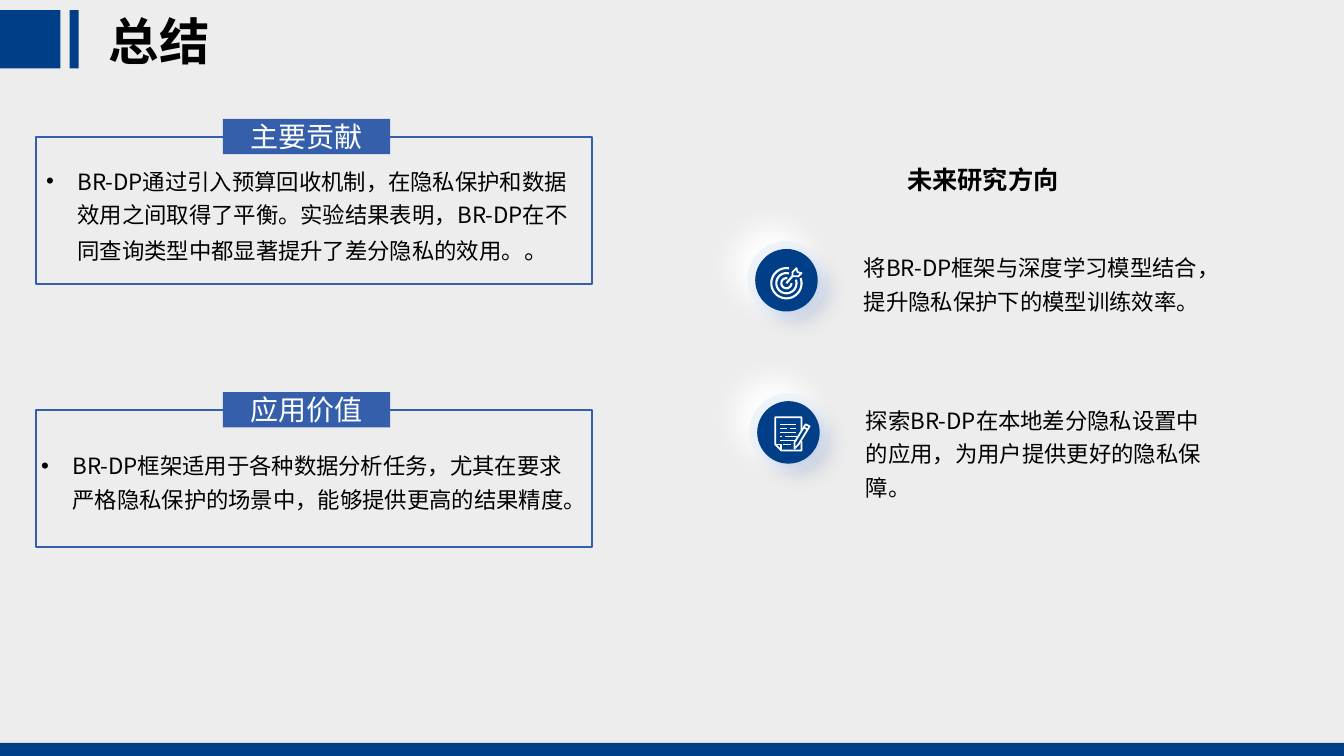
import math
from lxml import etree
from pptx import Presentation
from pptx import util as u
from pptx.dml.color import RGBColor
from pptx.enum import shapes, text
from pptx.oxml import ns

FONT = "Noto Sans CJK SC"
NAVY, BLUE, WHITE, BLACK = "003F88", "355FAB", "FFFFFF", "000000"


def colour(code):
    """Turn a hex string into a colour."""
    return RGBColor.from_string(code)


def add_child(parent, tag, **attributes):
    """Append a DrawingML element."""
    values = {key: str(value) for key, value in attributes.items()}
    return etree.SubElement(parent, ns.qn(f"a:{tag}"), values)


def style_text(shape, words, size, code, bold=False, spacing=None, align=None):
    """Write one paragraph into a shape and format it."""
    para = shape.text_frame.paragraphs[0]
    para.text = words
    para.line_spacing = spacing
    para.alignment = align
    span = para.runs[0]
    span.font.size = u.Pt(size)
    span.font.bold = bold
    span.font.name = FONT
    span.font.color.rgb = colour(code)
    add_child(span._r.get_or_add_rPr(), "ea", typeface=FONT)
    return para


def add_text(page, box, words, size, wrap=True, **style):
    """Add a text box with one paragraph."""
    shape = page.shapes.add_textbox(*map(u.Inches, box))
    shape.text_frame.word_wrap = wrap
    style_text(shape, words, size, BLACK, **style)
    return shape


def add_block(page, kind, box, fill=None, line=None):
    """Add a plain preset shape."""
    shape = page.shapes.add_shape(kind, *map(u.Inches, box))
    shape.shadow.inherit = False
    if fill:
        shape.fill.solid()
        shape.fill.fore_color.rgb = colour(fill)
    else:
        shape.fill.background()
    if line:
        shape.line.color.rgb = colour(line)
        shape.line.width = u.Pt(1.5)
    else:
        shape.line.fill.background()
    return shape


def add_glow(shape, code, alpha, blur, distance, angle):
    """Give a shape an outer shadow."""
    effects = shape._element.spPr.find(ns.qn("a:effectLst"))
    shadow = add_child(effects, "outerShdw", blurRad=u.Pt(blur), dist=u.Pt(distance),
                       dir=angle * 60000, algn="ctr", rotWithShape=0)
    add_child(add_child(shadow, "srgbClr", val=code), "alpha", val=alpha * 1000)


def add_stroke(page, left, top, points, width=1.25, close=False):
    """Draw a white outline through points relative to a corner."""
    spots = [(u.Inches(left + x), u.Inches(top + y)) for x, y in points]
    builder = page.shapes.build_freeform(*spots[0])
    builder.add_line_segments(spots[1:], close=close)
    shape = builder.convert_to_shape()
    shape.shadow.inherit = False
    shape.fill.background()
    shape.line.color.rgb = colour(WHITE)
    shape.line.width = u.Pt(width)


def draw_target(page, left, top):
    """Draw a target with a dart."""
    for radius, start, end in ((0.15, -20, 280), (0.1, -20, 285), (0.05, 0, 280)):
        angles = [math.radians(start + (end - start) * step / 40) for step in range(41)]
        ring = [(0.39 + radius * math.cos(a), 0.42 + radius * math.sin(a)) for a in angles]
        add_stroke(page, left, top, ring, 1.5)
    add_stroke(page, left, top, [(0.39, 0.42), (0.45, 0.35)], 1.5)
    flight = [(0.45, 0.35), (0.45, 0.31), (0.49, 0.27), (0.5, 0.31), (0.54, 0.32), (0.51, 0.35)]
    add_stroke(page, left, top, flight, close=True)


def draw_document(page, left, top):
    """Draw a written sheet with a pencil."""
    sheet = [(0.52, 0.37), (0.52, 0.24), (0.26, 0.24), (0.26, 0.51),
             (0.32, 0.57), (0.52, 0.57), (0.52, 0.48)]
    pencil = [(0.45, 0.55), (0.45, 0.49), (0.56, 0.31), (0.6, 0.33), (0.49, 0.51)]
    add_stroke(page, left, top, sheet)
    add_stroke(page, left, top, [(0.26, 0.51), (0.32, 0.51), (0.32, 0.57)])
    add_stroke(page, left, top, pencil, close=True)
    add_stroke(page, left, top, [(0.54, 0.34), (0.58, 0.36)])
    rows = [[(0.31, 0.47)], [(0.31, 0.38), (0.41, 0.47)], [(0.31, 0.47)],
            [(0.31, 0.33), (0.36, 0.47)], [(0.31, 0.46)], [(0.34, 0.42)]]
    for row, dashes in enumerate(rows):
        y = 0.31 + 0.04 * row
        for start, end in dashes:
            add_stroke(page, left, top, [(start, y), (end, y)], 1)


def add_frame(page):
    """Add the background, the corner marks, the title and the foot bar."""
    page.background.fill.solid()
    page.background.fill.fore_color.rgb = colour("EDEDED")
    for box in ((0, 0.1, 0.6, 0.58), (0.69, 0.1, 0.09, 0.58), (0, 7.37, 13.33, 0.13)):
        add_block(page, shapes.MSO_SHAPE.RECTANGLE, box, NAVY)
    title = add_text(page, (0.98, 0.15, 8.88, 0.58), "总结", 36, bold=True, spacing=0.9)
    title.text_frame.vertical_anchor = text.MSO_ANCHOR.MIDDLE


def add_panel(page, box, heading, words, text_left, text_top, tail=""):
    """Add an outlined panel with a heading tab and one bullet."""
    left, top, width, height = box
    rectangle = shapes.MSO_SHAPE.RECTANGLE
    add_block(page, rectangle, box, line=BLUE)
    tab = add_block(page, rectangle, (left + 1.85, top - 0.18, 1.66, 0.35), BLUE)
    tab.text_frame.vertical_anchor = text.MSO_ANCHOR.MIDDLE
    style_text(tab, heading, 20, WHITE, align=text.PP_ALIGN.CENTER)
    body = add_text(page, (text_left, top + text_top, width, height - 0.5),
                    words + tail, 16, spacing=1.25)
    para = body.text_frame.paragraphs[0]
    if tail:
        para.text = ""
        para = style_text(body, words, 16, BLACK, spacing=1.25)
        span = para.add_run()
        span.text = tail
        span.font.size = u.Pt(17)
        span.font.name = FONT
        span.font.color.rgb = colour(BLACK)
        add_child(span._r.get_or_add_rPr(), "ea", typeface=FONT)
    settings = para._p.get_or_add_pPr()
    settings.set("marL", str(u.Inches(0.31)))
    settings.set("indent", str(u.Inches(-0.31)))
    add_child(settings, "buFont", typeface="Arial")
    add_child(settings, "buChar", char="•")


def add_direction(page, left, top, words, draw_icon):
    """Add a round icon with a text beside it."""
    oval = shapes.MSO_SHAPE.OVAL
    rim = add_block(page, oval, (left, top, 0.78, 0.78), "EEF2F9")
    add_glow(rim, WHITE, 100, 20, 15, 225)
    disc = add_block(page, oval, (left + 0.08, top + 0.08, 0.62, 0.62), NAVY)
    add_glow(disc, "2F5597", 18, 14, 11, 45)
    draw_icon(page, left, top)
    add_text(page, (left + 1.06, top + 0.02, 3.59, 1.09), words, 16, spacing=1.25)


def main():
    """Build the summary slide."""
    deck = Presentation()
    deck.slide_width, deck.slide_height = u.Inches(13.33), u.Inches(7.5)
    page = deck.slides.add_slide(deck.slide_layouts[6])
    add_frame(page)
    add_panel(page, (0.36, 1.36, 5.51, 1.46), "主要贡献",
              "BR-DP通过引入预算回收机制，在隐私保护和数据效用之间取得了平衡。"
              "实验结果表明，BR-DP在不同查询类型中都显著提升了差分隐私的效用。", 0.36, 0.19, "。")
    add_panel(page, (0.36, 4.07, 5.51, 1.36), "应用价值",
              "BR-DP框架适用于各种数据分析任务，尤其在要求严格隐私保护的场景中，"
              "能够提供更高的结果精度。", 0.31, 0.3)
    add_text(page, (8.9, 1.58, 1.72, 0.4), "未来研究方向", 18, wrap=False, bold=True)
    add_direction(page, 7.41, 2.39, "将BR-DP框架与深度学习模型结合，提升隐私保护下的模型训练效率。",
                  draw_target)
    add_direction(page, 7.43, 3.9, "探索BR-DP在本地差分隐私设置中的应用，为用户提供更好的隐私保障。",
                  draw_document)
    deck.save("out.pptx")


if __name__ == "__main__":
    main()
